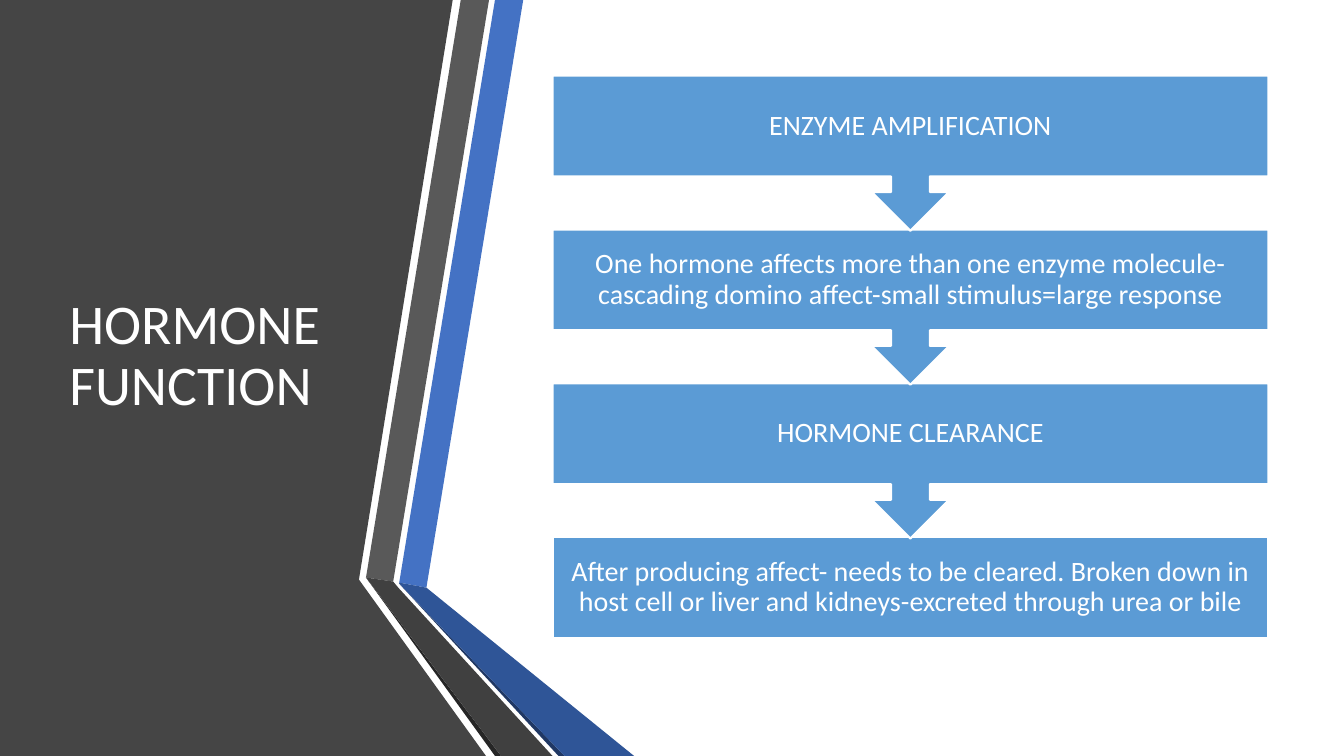
from pptx import Presentation
from pptx.dml.color import RGBColor
from pptx.enum.shapes import MSO_SHAPE
from pptx.enum.text import MSO_ANCHOR, PP_ALIGN
from pptx.util import Inches, Pt

RECTANGLE = MSO_SHAPE.RECTANGLE
DOWN_CALLOUT = MSO_SHAPE.DOWN_ARROW_CALLOUT
MIDDLE = MSO_ANCHOR.MIDDLE
LEFT, CENTER = PP_ALIGN.LEFT, PP_ALIGN.CENTER

WHITE = RGBColor(0xFF, 0xFF, 0xFF)
PANEL_GRAY = RGBColor(0x45, 0x45, 0x45)
BAND_BLUE = RGBColor(0x44, 0x72, 0xC4)
BAND_GRAY = RGBColor(0x59, 0x59, 0x59)
EDGE_GRAY = RGBColor(0x26, 0x26, 0x26)
EDGE_BLUE = RGBColor(0x20, 0x38, 0x64)
FOLD_BLUE = RGBColor(0x2F, 0x55, 0x97)
FOLD_GRAY = RGBColor(0x40, 0x40, 0x40)
STEP_BLUE = RGBColor(0x5B, 0x9B, 0xD5)

FONT = "Calibri"
SLIDE_WIDTH, SLIDE_HEIGHT = 13.33, 7.5

# Outlines in inches from the panel's top left corner, back to front
PANEL_OUTLINES = [
    (PANEL_GRAY, [(0, 0), (4.49, 0), (3.56, 5.75), (4.82, 7.5), (0, 7.5)]),
    (BAND_BLUE, [(3.96, 5.78), (4.23, 5.83), (5.19, 0), (4.91, 0)]),
    (BAND_GRAY, [(4.85, 0), (4.57, 0), (3.63, 5.73), (3.9, 5.77)]),
    (EDGE_GRAY, [(3.63, 5.73), (4.91, 7.5), (4.97, 7.5)]),
    (EDGE_BLUE, [(3.96, 5.79), (5.54, 7.5), (5.6, 7.5)]),
    (FOLD_BLUE, [(3.96, 5.79), (5.6, 7.5), (6.29, 7.5), (4.23, 5.83), (3.96, 5.78)]),
    (FOLD_GRAY, [(5.48, 7.5), (3.95, 5.83), (3.9, 5.77), (3.63, 5.73), (4.97, 7.5)]),
]

STEPS = [
    "ENZYME AMPLIFICATION",
    "One hormone affects more than one enzyme molecule- cascading domino "
    "affect-small stimulus=large response",
    "HORMONE CLEARANCE",
    "After producing affect- needs to be cleared. Broken down in host cell "
    "or liver and kidneys-excreted through urea or bile",
]


def write_text(shape, text, size, alignment=LEFT, side_inset=0.1, end_inset=0.05):
    frame = shape.text_frame
    frame.word_wrap = True
    frame.vertical_anchor = MIDDLE
    frame.margin_left = frame.margin_right = Inches(side_inset)
    frame.margin_top = frame.margin_bottom = Inches(end_inset)
    paragraph = frame.paragraphs[0]
    paragraph.alignment = alignment
    paragraph.line_spacing = 0.9
    run = paragraph.add_run()
    run.text = text
    run.font.name = FONT
    run.font.size = Pt(size)
    run.font.color.rgb = WHITE


def fill_shape(shape, color):
    shape.shadow.inherit = False
    shape.fill.solid()
    shape.fill.fore_color.rgb = color


def add_folded_panel(slide, left, top):
    for color, outline in PANEL_OUTLINES:
        points = [(Inches(left + x), Inches(top + y)) for x, y in outline]
        builder = slide.shapes.build_freeform(*points[0])
        builder.add_line_segments(points[1:], close=True)
        shape = builder.convert_to_shape()
        fill_shape(shape, color)
        shape.line.fill.background()


def add_title(slide, left, top, width, height):
    title = slide.shapes.add_textbox(
        Inches(left), Inches(top), Inches(width), Inches(height))
    write_text(title, "HORMONE FUNCTION", 40)


def add_step_flow(slide, left, top, width, height):
    """Stack the steps from the bottom up, so each arrow overlaps the next box."""
    box_height = 1
    callout_height = 1.54
    pitch = (height - box_height) / (len(STEPS) - 1)
    last = len(STEPS) - 1
    for index in range(last, -1, -1):
        kind, step_height = DOWN_CALLOUT, callout_height
        if index == last:
            kind, step_height = RECTANGLE, box_height
        step = slide.shapes.add_shape(
            kind, Inches(left), Inches(top + index * pitch),
            Inches(width), Inches(step_height))
        fill_shape(step, STEP_BLUE)
        step.line.color.rgb = WHITE
        step.line.width = Pt(1.5)
        write_text(step, STEPS[index], 20, alignment=CENTER,
                   side_inset=0.16, end_inset=0.16)


def main():
    presentation = Presentation()
    presentation.slide_width = Inches(SLIDE_WIDTH)
    presentation.slide_height = Inches(SLIDE_HEIGHT)
    slide = presentation.slides.add_slide(presentation.slide_layouts[6])
    add_folded_panel(slide, 0, 0)
    add_title(slide, 0.59, 0.75, 3.04, 5.58)
    add_step_flow(slide, 5.48, 0.75, 7.1, 5.58)
    presentation.save("out.pptx")


if __name__ == "__main__":
    main()
